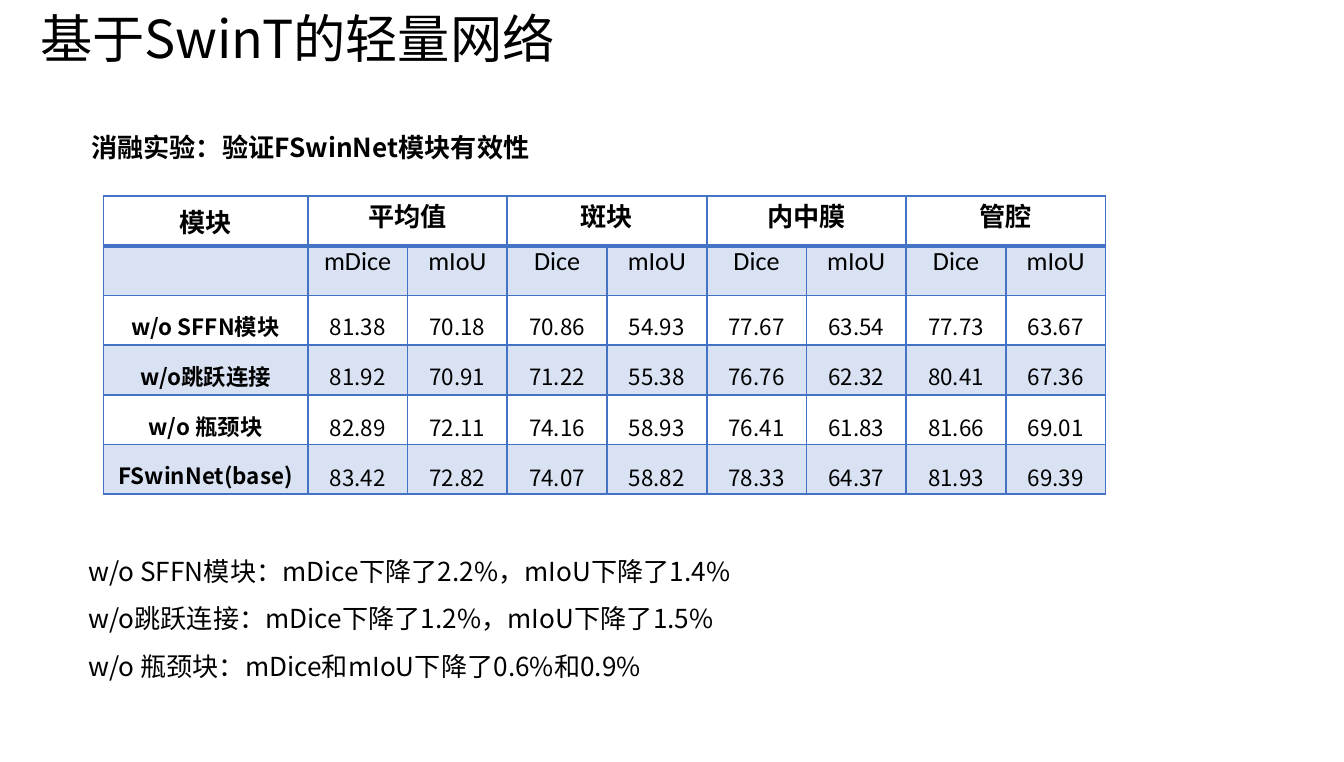
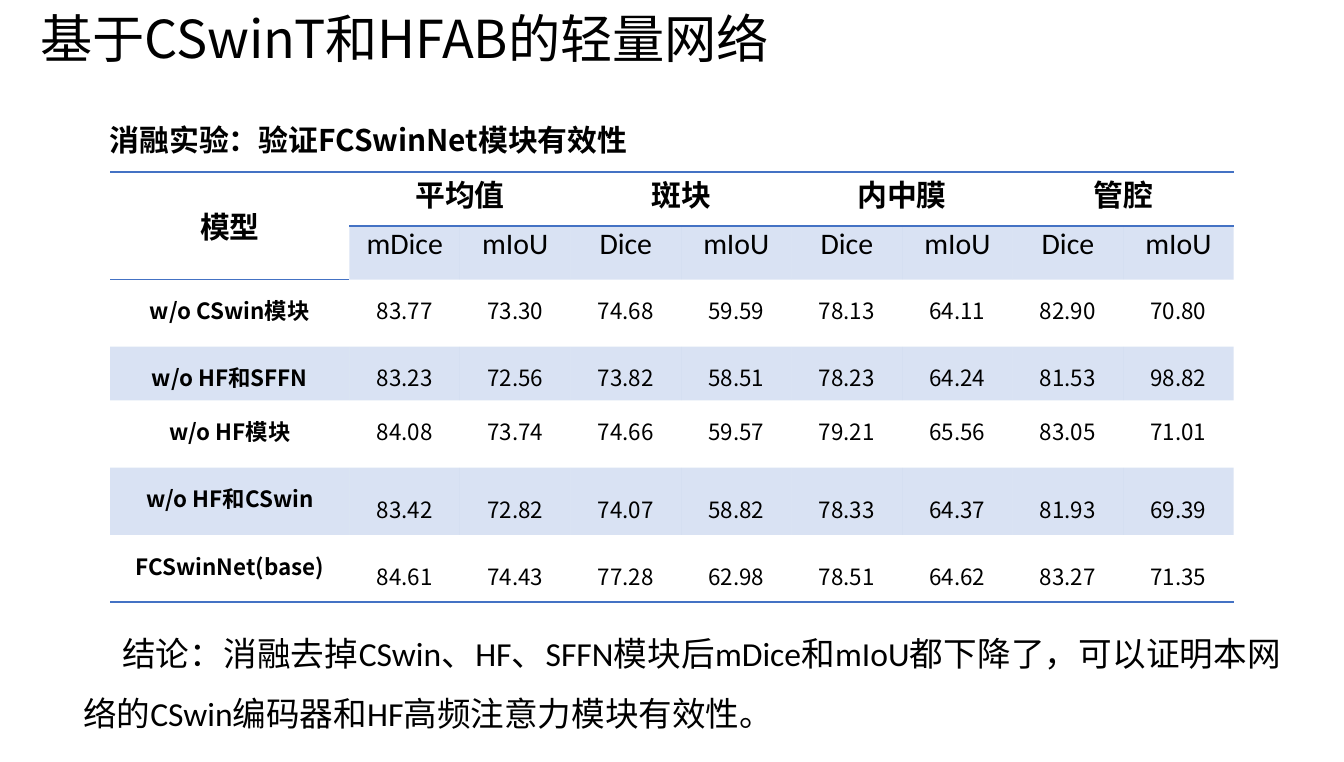
import pptx
import pptx.util
import pptx.dml.color
import pptx.enum.text
import pptx.oxml.ns
import lxml.etree

Inch = pptx.util.Inches
Point = pptx.util.Pt
Align = pptx.enum.text.PP_ALIGN
Anchor = pptx.enum.text.MSO_ANCHOR
qn = pptx.oxml.ns.qn


class Theme:
    ink = "000000"
    blue = "4472C4"
    tint = 20
    cjk = "Noto Sans CJK SC"
    latin = "Calibri"
    title = 28
    data = 12
    lead = 25
    loose = 1.5
    pad = 0.07


WIDE, HIGH = 10, 5.67
GROUPS = ["平均值", "斑块", "内中膜", "管腔"]
UNITS = ["mDice", "mIoU"] + ["Dice", "mIoU"] * 3

SLIDES = [
    {
        "title": ("基于SwinT的轻量网络", 4.99),
        "head": {"lines": ["消融实验：验证FSwinNet模块有效性"], "box": (0.29, 0.81, 7.91, 0.41),
                 "size": 14, "bold": True, "dent": 0.29, "align": Align.JUSTIFY},
        "table": {
            "label": "模块", "box": (0.77, 1.46, 7.46), "first": 1.52,
            "tall": [0.37] * 6, "size": 14, "grid": True,
            "rows": [
                ("w/o SFFN模块", "81.38 70.18 70.86 54.93 77.67 63.54 77.73 63.67"),
                ("w/o跳跃连接", "81.92 70.91 71.22 55.38 76.76 62.32 80.41 67.36"),
                ("w/o 瓶颈块", "82.89 72.11 74.16 58.93 76.41 61.83 81.66 69.01"),
                ("FSwinNet(base)", "83.42 72.82 74.07 58.82 78.33 64.37 81.93 69.39"),
            ],
        },
        "notes": {"lines": ["w/o SFFN模块：mDice下降了2.2%，mIoU下降了1.4%",
                            "w/o跳跃连接：mDice下降了1.2%，mIoU下降了1.5%",
                            "w/o 瓶颈块：mDice和mIoU下降了0.6%和0.9%"],
                  "box": (0.2, 3.97, 9.61, 1.12), "size": 14, "dent": 0.36},
    },
    {
        "title": ("基于CSwinT和HFAB的轻量网络", 6.76),
        "head": {"lines": ["消融实验：验证FCSwinNet模块有效性"], "box": (0.72, 0.72, 4.36, 0.46),
                 "size": 16, "bold": True},
        "table": {
            "label": "模型", "box": (0.82, 1.28, 8.36), "first": 1.78,
            "tall": [0.4, 0.4, 0.5, 0.4, 0.5, 0.5, 0.5], "size": 16, "grid": False,
            "rows": [
                ("w/o CSwin模块", "83.77 73.30 74.68 59.59 78.13 64.11 82.90 70.80"),
                ("w/o HF和SFFN", "83.23 72.56 73.82 58.51 78.23 64.24 81.53 98.82"),
                ("w/o HF模块", "84.08 73.74 74.66 59.57 79.21 65.56 83.05 71.01"),
                ("w/o HF和CSwin", "83.42 72.82 74.07 58.82 78.33 64.37 81.93 69.39"),
                ("FCSwinNet(base)", "84.61 74.43 77.28 62.98 78.51 64.62 83.27 71.35"),
            ],
        },
        "notes": {"lines": ["结论：消融去掉CSwin、HF、SFFN模块后mDice和mIoU都下降了，"
                            "可以证明本网络的CSwin编码器和HF高频注意力模块有效性。"],
                  "box": (0.52, 4.51, 9.11, 0.96), "size": 18, "dent": 0.29,
                  "font": Theme.latin, "align": Align.JUSTIFY},
    },
]


def style(para, size, font, bold=False):
    for run in para.runs:
        run.font.size = Point(size)
        run.font.bold = bold
        run.font.name = font
        run.font.color.rgb = pptx.dml.color.RGBColor.from_string(Theme.ink)
        east = lxml.etree.Element(qn("a:ea"), typeface=Theme.cjk)
        run.font._element.find(qn("a:latin")).addnext(east)


def write(slide, lines, box, size, bold=False, font=Theme.cjk, dent=0, align=None, space=Theme.loose):
    frame = slide.shapes.add_textbox(*map(Inch, box)).text_frame
    frame.word_wrap = True
    frame.auto_size = pptx.enum.text.MSO_AUTO_SIZE.SHAPE_TO_FIT_TEXT
    frame.text = "\n".join(lines)
    for para in frame.paragraphs:
        para.alignment = align
        para.line_spacing = space
        if dent:
            para._p.get_or_add_pPr().set("indent", str(Inch(dent)))
        style(para, size, font, bold)


def paint(cell, band):
    if not band:
        cell.fill.background()
        return
    cell.fill.solid()
    cell.fill.fore_color.rgb = pptx.dml.color.RGBColor.from_string(Theme.blue)
    color = cell._tc.tcPr.find(".//" + qn("a:srgbClr"))
    lxml.etree.SubElement(color, qn("a:alpha"), val=str(Theme.tint * 1000))


def edge(cell, widths):
    props = cell._tc.get_or_add_tcPr()
    for place, (side, width) in enumerate(zip("LRTB", widths)):
        line = lxml.etree.Element(qn("a:ln" + side), w=str(Point(width)))
        if width:
            fill = lxml.etree.SubElement(line, qn("a:solidFill"))
            lxml.etree.SubElement(fill, qn("a:srgbClr"), val=Theme.blue)
        else:
            lxml.etree.SubElement(line, qn("a:noFill"))
        props.insert(place, line)


def rule(level, col, last, grid):
    if grid:
        return 2 if level == 1 else 1
    return int(level in (0, last) or level == (1 if col else 2))


def tabulate(slide, label, box, first, tall, size, grid, rows):
    left, top, width = box
    heads = [text for name in GROUPS for text in (name, "")]
    cells = [[label] + heads, [""] + UNITS]
    cells += [[name] + nums.split() for name, nums in rows]
    last, count = len(cells), len(cells[0])
    spot = map(Inch, (left, top, width, sum(tall)))
    table = slide.shapes.add_table(last, count, *spot).table
    table.first_row = table.horz_banding = False
    for col, part in enumerate(table.columns):
        part.width = Inch(first if col == 0 else (width - first) / (count - 1))
    for part, height in zip(table.rows, tall):
        part.height = Inch(height)
    for col in range(1, count, 2):
        table.cell(0, col).merge(table.cell(0, col + 1))
    if not grid:
        table.cell(0, 0).merge(table.cell(1, 0))

    for row, texts in enumerate(cells):
        for col, text in enumerate(texts):
            cell = table.cell(row, col)
            cell.margin_left = cell.margin_right = Inch(Theme.pad)
            cell.margin_top = cell.margin_bottom = 0
            corner = row == col == 0
            if corner or (col and row >= last - 2):
                cell.vertical_anchor = Anchor.MIDDLE
            paint(cell, row % 2 and (grid or col or row > 1))
            low = row + cell.span_height if cell.is_merge_origin else row + 1
            side = int(grid)
            edge(cell, (side, side, rule(row, col, last, grid), rule(low, col, last, grid)))
            if not text:
                continue
            cell.text_frame.text = text
            para = cell.text_frame.paragraphs[0]
            para.alignment = Align.CENTER
            if row > 1:
                para.line_spacing = Point(Theme.lead)
                style(para, Theme.data, Theme.cjk, col == 0)
            else:
                style(para, size, Theme.latin, row == 0)


def main():
    deck = pptx.Presentation()
    deck.slide_width, deck.slide_height = Inch(WIDE), Inch(HIGH)
    for page in SLIDES:
        slide = deck.slides.add_slide(deck.slide_layouts[6])
        text, width = page["title"]
        write(slide, [text], (0.2, 0, width, 0.57), Theme.title, space=1.0)
        write(slide, **page["head"])
        tabulate(slide, **page["table"])
        write(slide, **page["notes"])
    deck.save("out.pptx")


if __name__ == "__main__":
    main()
